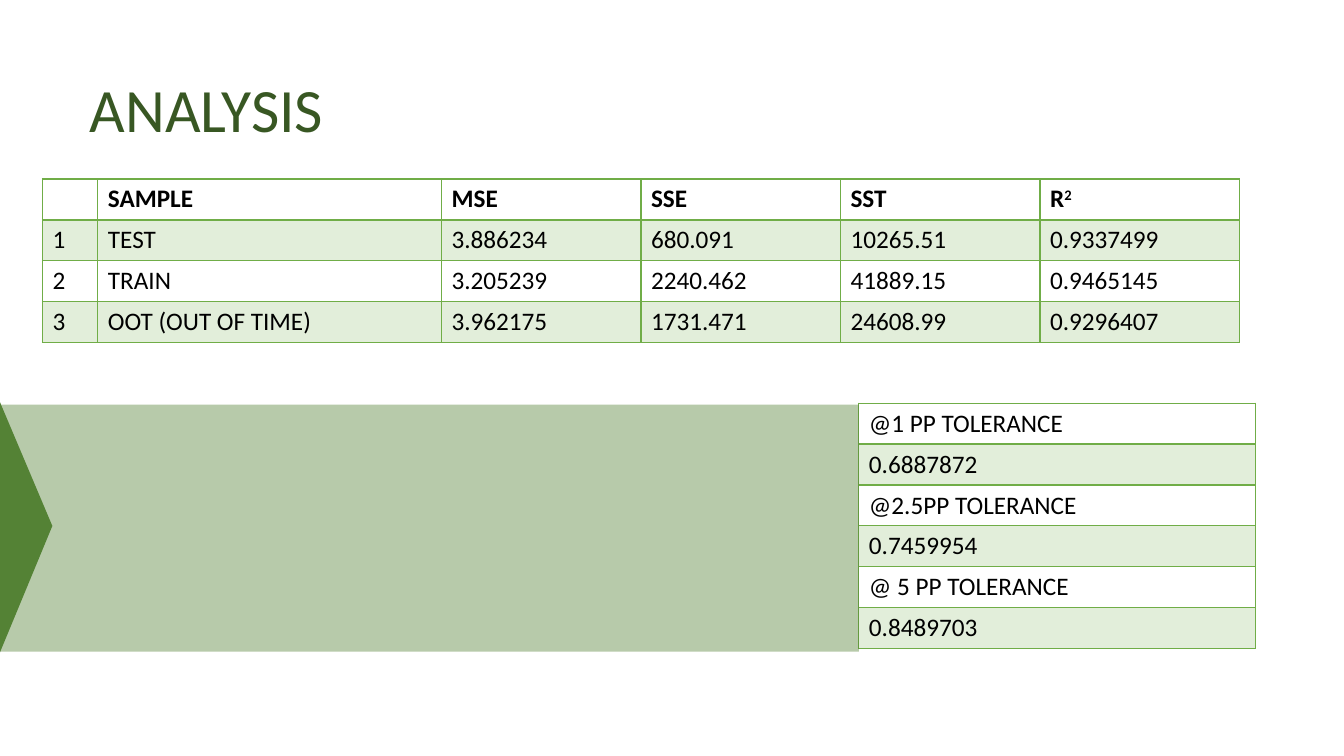
"""Build the ANALYSIS slide: a metrics table, a tolerance table and a green arrow band."""
from lxml import etree
from pptx import Presentation
from pptx.dml.color import RGBColor
from pptx.enum import shapes, text
from pptx.oxml import ns
from pptx.util import Pt

LEAF, MOSS = "70AD47", "548235"


def paint(fill, tone, alpha=100):
    fill.solid()
    fill.fore_color.rgb = RGBColor.from_string(tone)
    if alpha < 100:
        node = fill._xPr.find(".//" + ns.qn("a:srgbClr"))
        etree.SubElement(node, ns.qn("a:alpha"), val=str(alpha * 1000))


def style(run, **look):
    font = {"name": "Calibri", "size": Pt(18), "bold": False} | look
    tone = font.pop("tone", "000000")
    for key, value in font.items():
        setattr(run.font, key, value)
    run.font.color.rgb = RGBColor.from_string(tone)


deck = Presentation()
deck.slide_width, deck.slide_height = Pt(960), Pt(540)
slide = deck.slides.add_slide(deck.slide_layouts[5])

title = slide.shapes.title
title.left, title.top, title.width, title.height = Pt(57), Pt(28), Pt(828), Pt(104.4)
title.text = "ANALYSIS"
frame = title.text_frame
frame.auto_size = text.MSO_AUTO_SIZE.NONE
frame.vertical_anchor = text.MSO_ANCHOR.MIDDLE
line = frame.paragraphs[0]
line.alignment, line.line_spacing = text.PP_ALIGN.LEFT, 0.9
style(line.runs[0], size=Pt(44), tone="385723")

scores = [
    ["", "SAMPLE", "MSE", "SSE", "SST", "R²"],
    ["1", "TEST", "3.886234", "680.091", "10265.51", "0.9337499"],
    ["2", "TRAIN", "3.205239", "2240.462", "41889.15", "0.9465145"],
    ["3", "OOT (OUT OF TIME)", "3.962175", "1731.471", "24608.99", "0.9296407"],
]
limits = [
    ["@1 PP TOLERANCE"], ["0.6887872"],
    ["@2.5PP TOLERANCE"], ["0.7459954"],
    ["@ 5 PP TOLERANCE"], ["0.8489703"],
]
grids = [
    (scores, 30.3, 127.8, [39.6, 245.5] + [142.5] * 4, True),
    (limits, 613.5, 288, [283.1], False),
]
high = 29.2
for rows, left, top, wide, bold in grids:
    grid = slide.shapes.add_table(len(rows), len(wide), Pt(left), Pt(top),
                                  Pt(sum(wide)), Pt(high * len(rows))).table
    grid.first_row = grid.horz_banding = False
    for col, width in zip(grid.columns, wide):
        col.width = Pt(width)
    for r, row in enumerate(rows):
        grid.rows[r].height = Pt(high)
        for c, word in enumerate(row):
            cell = grid.cell(r, c)
            if r % 2:
                paint(cell.fill, LEAF, 20)
            else:
                cell.fill.background()
            line = cell.text_frame.paragraphs[0]
            line.font.size = Pt(18)
            parts = ["R", "2"] if word == "R²" else [word] if word else []
            for n, part in enumerate(parts):
                run = line.add_run()
                run.text = part
                style(run, bold=bold and r == 0)
                if n:
                    run.font._element.set("baseline", "30000")
            for n, side in enumerate("LRTB"):
                thick = 2 if (r, side) in [(0, "B"), (1, "T")] else 1
                edge = etree.Element(ns.qn("a:ln" + side), w=str(Pt(thick)))
                solid = etree.SubElement(edge, ns.qn("a:solidFill"))
                etree.SubElement(solid, ns.qn("a:srgbClr"), val=LEAF)
                cell._tc.get_or_add_tcPr().insert(n, edge)

kinds = shapes.MSO_SHAPE
for kind, left, top, width, height, turn, alpha in [
    (kinds.ISOSCELES_TRIANGLE, -70.6, 357.9, 178.6, 37.4, 90, 100),
    (kinds.RECTANGLE, 0, 289, 613.5, 176.6, 0, 42),
]:
    form = slide.shapes.add_shape(kind, Pt(left), Pt(top), Pt(width), Pt(height))
    form.rotation = turn
    form.shadow.inherit = False
    form.line.fill.background()
    paint(form.fill, MOSS, alpha)
    if turn:
        form.adjustments[0] = 0.495

deck.save("out.pptx")
